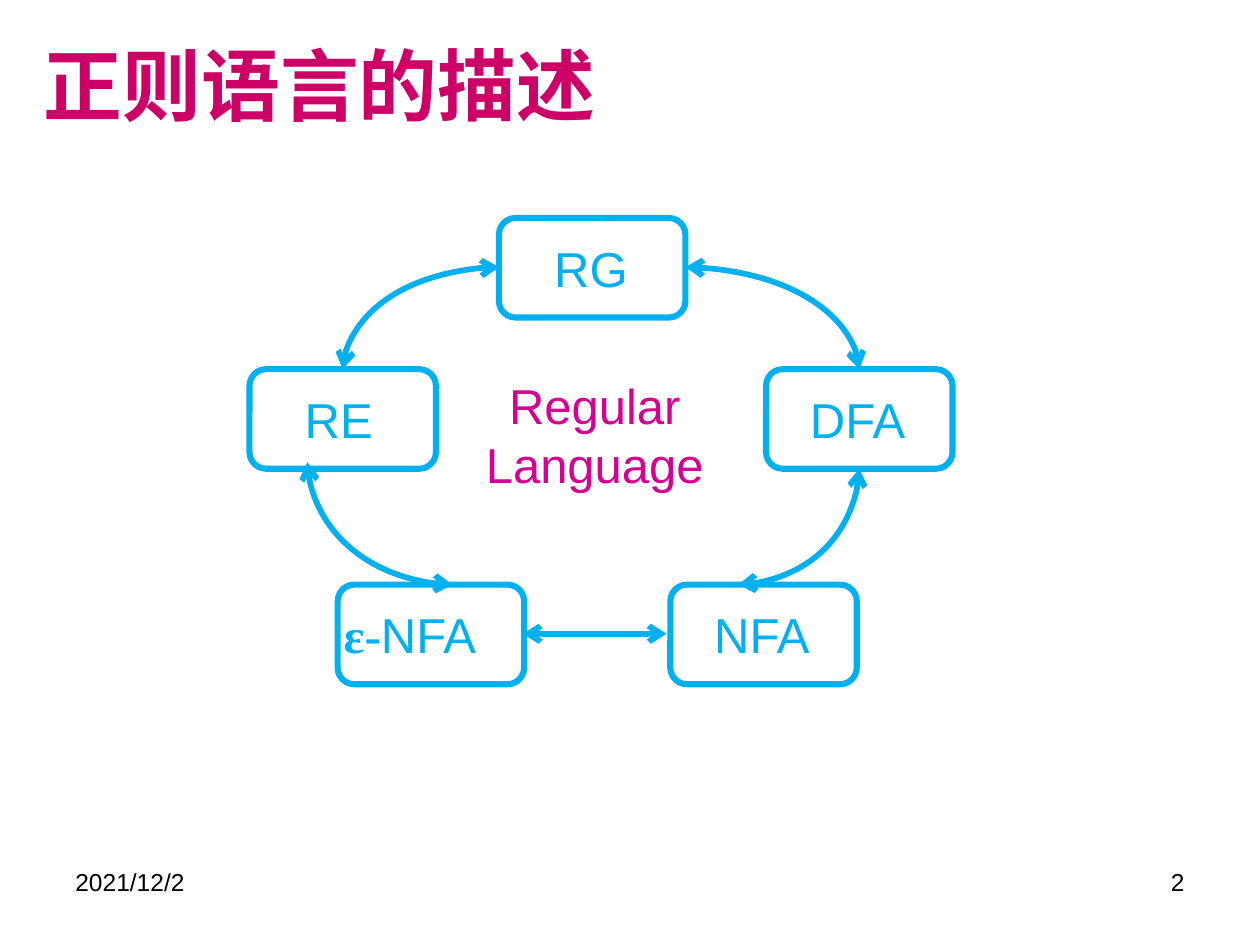
import pptx
import pptx.dml.color
import pptx.enum.shapes
import pptx.enum.text
import pptx.oxml
import pptx.oxml.ns
import pptx.util
from pptx.util import Inches

BLUE = "00B0F0"
ALIGN = pptx.enum.text.PP_ALIGN
NODE_WIDTH, NODE_HEIGHT = 1.48, 0.79


def color(value):
    return pptx.dml.color.RGBColor.from_string(value)


def xml_element(tag, **attributes):
    element = pptx.oxml.parse_xml(f"<a:{tag} {pptx.oxml.ns.nsdecls('a')}/>")
    for name, value in attributes.items():
        element.set(name, value)
    return element


def add_text(slide, place, text, size, hex_color, align=ALIGN.LEFT, font="Arial"):
    box = slide.shapes.add_textbox(*map(Inches, place))
    box.text_frame.word_wrap = True
    paragraph = box.text_frame.paragraphs[0]
    paragraph.alignment = align
    paragraph.add_run().text = text
    paragraph.font.name = font
    paragraph.font.size = pptx.util.Pt(size)
    paragraph.font.color.rgb = color(hex_color)
    return box


def add_title(slide, text):
    font = "Noto Sans CJK SC"
    box = add_text(slide, (0.25, 0.01, 7.5, 1.31), text, 45, "CC0066", font=font)
    box.text_frame.vertical_anchor = pptx.enum.text.MSO_ANCHOR.MIDDLE
    paragraph = box.text_frame.paragraphs[0]
    paragraph.font.bold = True
    properties = paragraph.runs[0]._r.get_or_add_rPr()
    properties.append(xml_element("ea", typeface=font))


def add_node(slide, left, top, label, indent, label_width=0.99, prefix=""):
    shape = slide.shapes.add_shape(
        pptx.enum.shapes.MSO_SHAPE.ROUNDED_RECTANGLE,
        Inches(left), Inches(top), Inches(NODE_WIDTH), Inches(NODE_HEIGHT))
    shape.shadow.inherit = False
    shape.fill.background()
    shape.line.color.rgb = color(BLUE)
    shape.line.width = pptx.util.Pt(3.5)
    place = (left + indent, top + 0.11, label_width, 0.57)
    box = add_text(slide, place, prefix or label, 28, BLUE)
    if prefix:
        paragraph = box.text_frame.paragraphs[0]
        prefix_font = paragraph.runs[0].font
        prefix_font.name = "Times New Roman"
        prefix_font.bold = True
        paragraph.add_run().text = label


def add_double_arrow(slide, start, end, curved=True):
    kinds = pptx.enum.shapes.MSO_CONNECTOR
    connector = slide.shapes.add_connector(
        kinds.CURVE if curved else kinds.STRAIGHT, *map(Inches, start + end))
    connector.line.color.rgb = color(BLUE)
    connector.line.width = pptx.util.Pt(3.25)
    line = connector.get_or_add_ln()
    for tag in ("headEnd", "tailEnd"):
        line.append(xml_element(tag, type="arrow"))
    properties = connector._element.spPr
    properties.append(xml_element("effectLst"))
    if curved:
        geometry = properties.find(pptx.oxml.ns.qn("a:prstGeom"))
        geometry.set("prst", "curvedConnector2")


def main():
    presentation = pptx.Presentation()
    presentation.slide_width = Inches(10)
    presentation.slide_height = Inches(7.5)
    slide = presentation.slides.add_slide(presentation.slide_layouts[6])

    add_text(slide, (0.5, 6.83, 2.33, 0.52), "2021/12/2", 14, "000000")
    add_text(slide, (7.17, 6.83, 2.33, 0.52), "2", 14, "000000", ALIGN.RIGHT)
    add_title(slide, "正则语言的描述")

    add_node(slide, 3.96, 1.73, "RG", 0.34)
    add_node(slide, 6.08, 2.93, "DFA", 0.25)
    add_node(slide, 5.32, 4.64, "NFA", 0.25)
    add_node(slide, 2.68, 4.64, "NFA", -0.05, 1.76, "ε-")
    add_node(slide, 1.98, 2.93, "RE", 0.34)

    for start, end in (
        ((5.44, 2.12), (6.82, 2.93)),
        ((5.86, 4.64), (6.82, 3.72)),
        ((3.96, 2.12), (2.72, 2.93)),
        ((3.59, 4.64), (2.44, 3.67)),
    ):
        add_double_arrow(slide, start, end)
    add_double_arrow(slide, (5.29, 5.03), (4.15, 5.03), curved=False)

    add_text(slide, (3.7, 2.93, 2.04, 1.03), "Regular Language", 28, "D60093", ALIGN.CENTER)
    presentation.save("out.pptx")


if __name__ == "__main__":
    main()
